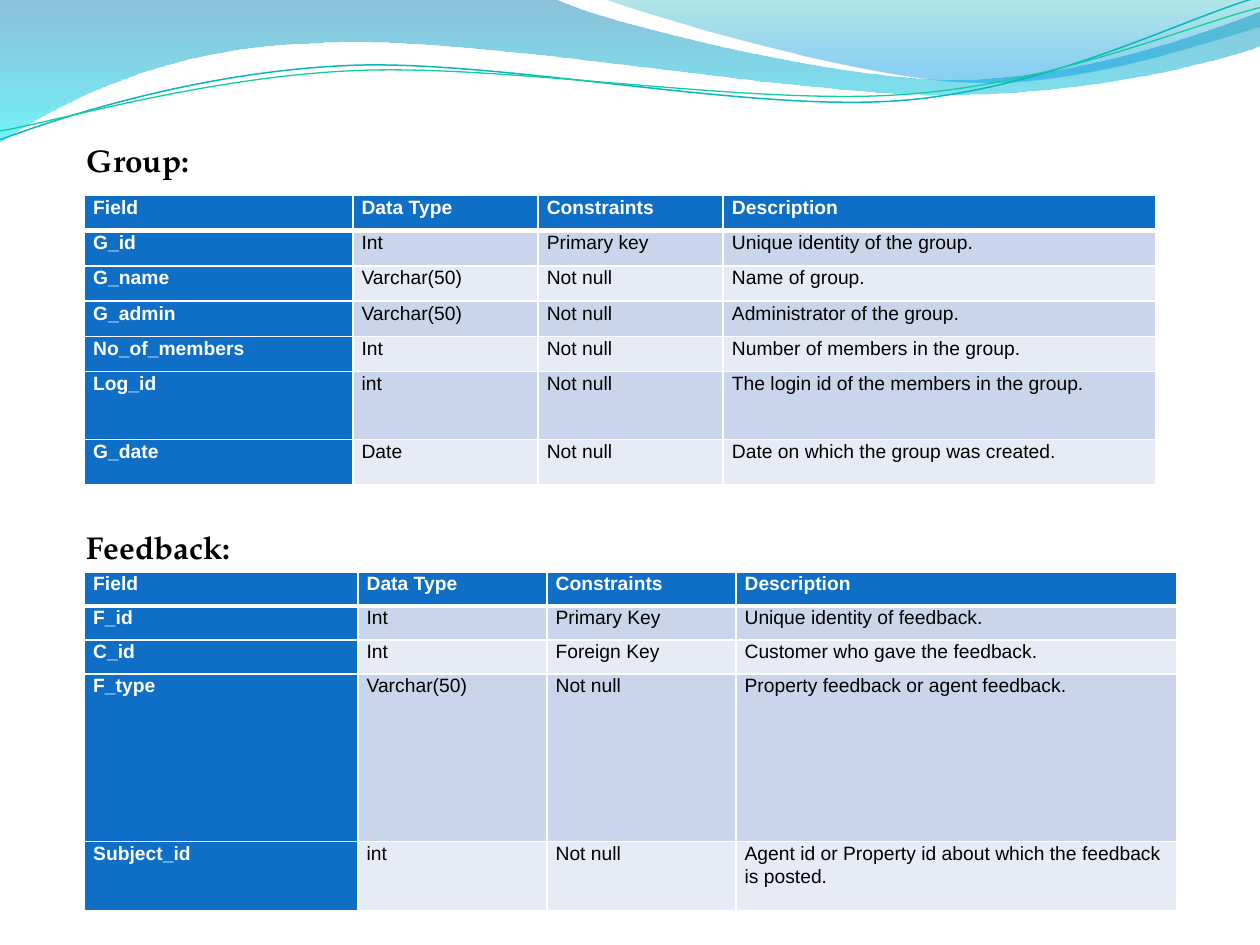
from pptx import Presentation
from pptx.dml.color import RGBColor as RGB
from pptx.enum.text import MSO_ANCHOR as Anchor, MSO_AUTO_SIZE as Auto, PP_ALIGN as Align
from pptx.oxml.ns import qn
from pptx.util import Inches, Pt
from lxml.etree import SubElement as Sub

# Content: headings and tables
HEAD = ("Field", "Data Type", "Constraints", "Description")
TABLES = [
    {"name": "Group:", "head_at": (0.59, 1.07, 1.65, 0.4), "top": 1.55,
     "cols": (2.13, 1.47, 1.47, 3.43),
     "heights": (0.28, 0.28, 0.28, 0.28, 0.28, 0.54, 0.36),
     "rows": [
         ("G_id", "Int", "Primary key", "Unique identity of the group."),
         ("G_name", "Varchar(50)", "Not null", "Name of group."),
         ("G_admin", "Varchar(50)", "Not null", "Administrator of the group."),
         ("No_of_members", "Int", "Not null", "Number of members in the group."),
         ("Log_id", "int", "Not null", "The login id of the members in the group."),
         ("G_date", "Date", "Not null", "Date on which the group was created."),
     ]},
    {"name": "Feedback:", "head_at": (0.59, 4.14, 1.57, 0.4), "top": 4.54,
     "cols": (2.17, 1.5, 1.5, 3.5),
     "heights": (0.27, 0.27, 0.27, 1.33, 0.55),
     "rows": [
         ("F_id", "Int", "Primary Key", "Unique identity of feedback."),
         ("C_id", "Int", "Foreign Key", "Customer who gave the feedback."),
         ("F_type", "Varchar(50)", "Not null", "Property feedback or agent feedback."),
         ("Subject_id", "int", "Not null",
          "Agent id or Property id about which the feedback is posted."),
     ]},
]
LEFT = 0.67
BLUE, BANDS, WHITE, BLACK = "0F6FC6", ("CAD4EA", "E6EBF5"), "FFFFFF", "000000"

# Waves: a point pair is a straight line, six numbers are a Bézier curve
# Gradient stops: position, colour, opacity in percent
WAVES = [
    {"start": (0, 0), "stops": [(0, "0079AD", 45), (1, "00E9F7", 55)],
     "steps": [(4.4, -0.01), (4.76, 0.17, 6.64, 0.63, 7.58, 0.63),
               (8.53, 0.63, 9.58, 0.26, 10, 0.09), (10.01, 0.36),
               (9.83, 0.44, 8.7, 0.76, 7.46, 0.75),
               (6.22, 0.75, 3.82, 0.28, 2.57, 0.34),
               (1.29, 0.36, 0.46, 0.83, -0.01, 1.13)]},
    {"start": (4.79, -0.01), "stops": [(0, "00ABB4", 30), (0.8, "0099E4", 45)],
     "steps": [(5.09, 0.11, 6.82, 0.62, 7.69, 0.65),
               (8.56, 0.69, 9.61, 0.32, 10, 0.21), (10, 0)]},
    {"start": (0, 1.11), "line": ("09B6BE", 0.85),
     "steps": [(0.48, 0.93, 1.58, 0.57, 2.77, 0.52),
               (3.95, 0.47, 5.93, 0.89, 7.13, 0.8),
               (8.33, 0.71, 9.38, 0.15, 9.98, -0.02)]},
    {"start": (0, 1.04), "line": ("10CF9B", 0.75),
     "steps": [(0.47, 0.96, 1.64, 0.61, 2.83, 0.56),
               (4.03, 0.51, 5.97, 0.84, 7.17, 0.75),
               (8.36, 0.67, 9.41, 0.21, 10, 0.06)]},
]
UNIT = 100  # outline units per inch


def paint(color, code):
    color.rgb = RGB.from_string(code)


def write(frame, text, size, face, code, bold):
    para = frame.paragraphs[0]
    run = para.add_run()
    run.text = text
    for key, val in {"size": Pt(size), "name": face, "bold": bold}.items():
        setattr(run.font, key, val)
    paint(run.font.color, code)
    return para


def draw(slide, start, steps, close):
    """Join the end points, then bend the curved segments."""
    ends = [tuple(round(v * UNIT) for v in step[-2:]) for step in [start] + steps]
    pen = slide.shapes.build_freeform(*ends[0], scale=Inches(1) / UNIT)
    pen.add_line_segments(ends[1:], close=close)
    shape = pen.convert_to_shape()
    base = [min(axis) for axis in zip(*ends)]
    for seg, step in zip(list(shape._element.spPr.iter(qn("a:lnTo"))), steps):
        if len(step) == 2:
            continue
        seg.tag = qn("a:cubicBezTo")
        for old in list(seg):
            seg.remove(old)
        for x, y in zip(step[::2], step[1::2]):
            Sub(seg, qn("a:pt"), x=str(round(x * UNIT) - base[0]),
                y=str(round(y * UNIT) - base[1]))
    return shape


def add_wave(slide, wave):
    shape = draw(slide, wave["start"], wave["steps"], "stops" in wave)
    shape.shadow.inherit = False
    if "line" in wave:
        code, width = wave["line"]
        shape.fill.background()
        paint(shape.line.color, code)
        shape.line.width = Pt(width)
        return
    shape.line.fill.background()
    shape.fill.gradient()
    shape.fill.gradient_angle = 270
    for stop, (pos, code, _) in zip(shape.fill.gradient_stops, wave["stops"]):
        stop.position = pos
        paint(stop.color, code)
    tints = shape._element.spPr.iter(qn("a:srgbClr"))
    for tint, (_, _, alpha) in zip(list(tints), wave["stops"]):
        Sub(tint, qn("a:alpha"), val=str(alpha * 1000))


def add_edges(cell, row):
    props = cell._tc.get_or_add_tcPr()
    wide = {"T": 3 if row == 1 else 1, "B": 3 if row == 0 else 1}
    for side in "LRTB":
        edge = Sub(props, qn("a:ln" + side), w=str(Pt(wide.get(side, 1))))
        Sub(Sub(edge, qn("a:solidFill")), qn("a:srgbClr"), val=WHITE)


def add_grid(slide, data):
    rows = [HEAD] + data["rows"]
    cols, heights = data["cols"], data["heights"]
    box = [Inches(v) for v in (LEFT, data["top"], sum(cols), sum(heights))]
    grid = slide.shapes.add_table(len(rows), len(cols), *box).table
    for col, width in zip(grid.columns, cols):
        col.width = Inches(width)
    for r, texts in enumerate(rows):
        grid.rows[r].height = Inches(heights[r])
        for c, text in enumerate(texts):
            cell = grid.cell(r, c)
            key = r == 0 or c == 0
            for side, gap in {"left": 0.07, "right": 0.07, "top": 0, "bottom": 0}.items():
                setattr(cell, "margin_" + side, Inches(gap))
            add_edges(cell, r)
            cell.fill.solid()
            paint(cell.fill.fore_color, BLUE if key else BANDS[(r - 1) % 2])
            para = write(cell.text_frame, text, 11, "Arial", WHITE if key else BLACK, key)
            para.line_spacing = 1.07


def add_head(shape, data):
    for key, val in zip(("left", "top", "width", "height"), data["head_at"]):
        setattr(shape, key, Inches(val))
    frame = shape.text_frame
    look = {"word_wrap": True, "auto_size": Auto.NONE, "vertical_anchor": Anchor.TOP}
    for key, val in look.items():
        setattr(frame, key, val)
    write(frame, data["name"], 18, "TeX Gyre Pagella", BLACK, True).alignment = Align.LEFT


def main():
    deck = Presentation()
    deck.slide_width, deck.slide_height = Inches(10), Inches(7.5)
    slide = deck.slides.add_slide(deck.slide_layouts[5])

    # Wave band at the top
    for wave in WAVES:
        add_wave(slide, wave)

    # Tables with their headings; the first heading is the slide title
    for i, data in enumerate(TABLES):
        add_grid(slide, data)
        add_head(slide.shapes.add_textbox(0, 0, 0, 0) if i else slide.shapes.title, data)

    deck.save("out.pptx")


if __name__ == "__main__":
    main()
